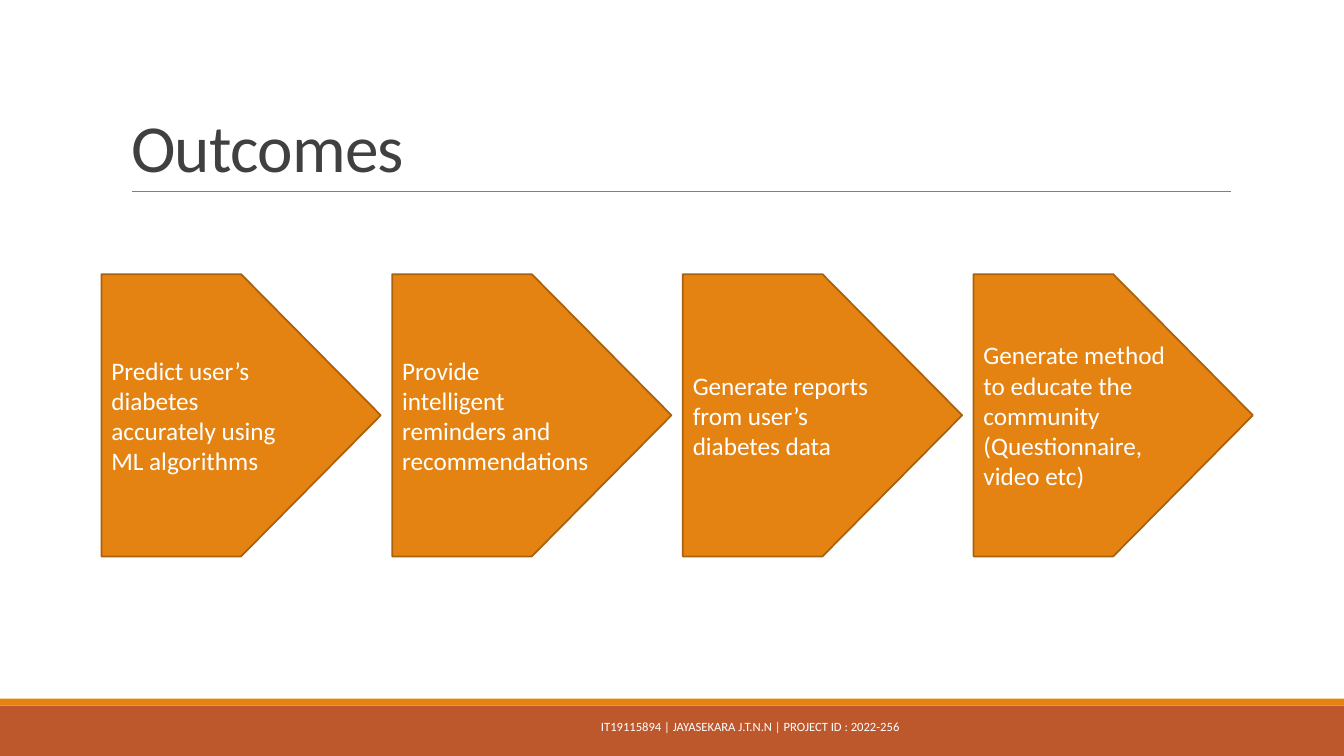
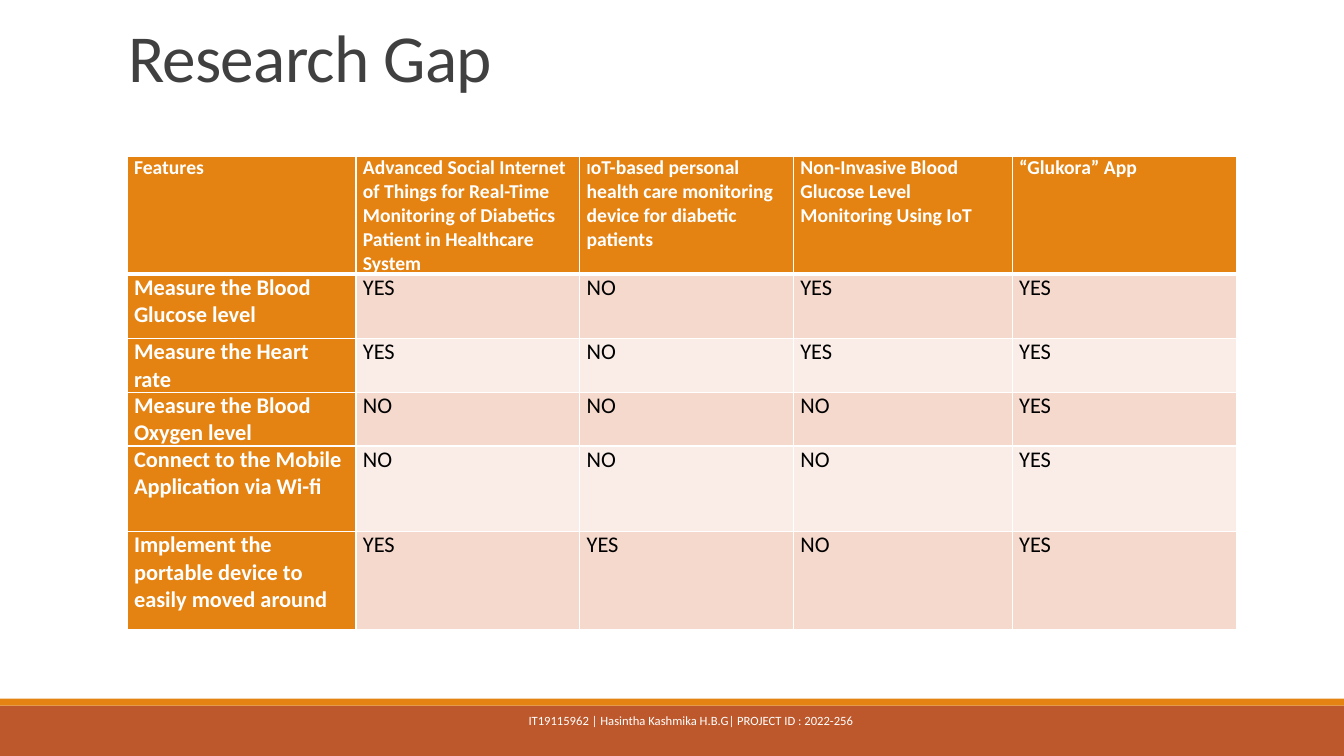
from lxml.etree import SubElement as Sub
from pptx import Presentation
from pptx.dml.color import RGBColor
from pptx.enum.shapes import MSO_CONNECTOR as Link, MSO_SHAPE as Form
from pptx.enum.text import MSO_ANCHOR as Anchor, MSO_AUTO_SIZE as Fit, PP_ALIGN as Align
from pptx.oxml.ns import qn
from pptx.util import Inches, Pt

WIDE, HIGH = Inches(13.33), Inches(7.5)
FONT = "Calibri"
WHITE, BLACK, GREY, INK = "FFFFFF", "000000", "808080", "404040"
AMBER, EDGE, RUST = "E48312", "A9610D", "BD582C"
TINTS = "F5D9CC", "FAEDE7"

GOALS = [
    ["Predict user’s diabetes accurately using ML algorithms"],
    ["Provide", "intelligent reminders and recommendations"],
    ["Generate reports from user’s diabetes data"],
    ["Generate method to educate the community (Questionnaire, video etc)"],
]
HEADS = [
    ["Features"],
    ["Advanced Social Internet of Things for Real-Time Monitoring of Diabetics "
     "Patient in Healthcare System"],
    ["I", "oT-based personal health care monitoring device for diabetic patients"],
    ["Non-Invasive Blood Glucose Level Monitoring Using IoT"],
    ["“Glukora” App\u00a0"],
]
ROWS = [
    ("Measure the Blood Glucose level", "YES", "NO", "YES", "YES"),
    ("Measure the Heart rate", "YES", "NO", "YES", "YES"),
    ("Measure the Blood Oxygen level", "NO", "NO", "NO", "YES"),
    ("Connect to the Mobile Application via Wi-fi", "NO", "NO", "NO", "YES"),
    ("Implement the portable device to easily moved around", "YES", "YES", "NO", "YES"),
]
COLS = 17.03, 16.65, 15.9, 16.28, 16.73
TALL = 14.8, 8.53, 6.67, 6.67, 11.33, 12.93


def tint(code):
    return RGBColor.from_string(code)


def across(share):
    return round(WIDE * share / 100)


def down(share):
    return round(HIGH * share / 100)


def area(left, top, width, height):
    return across(left), down(top), across(width), down(height)


def style(para, size, color, bold=False):
    font = para.font
    font.name, font.size, font.bold = FONT, Pt(size), bold
    font.color.rgb = tint(color)


def add_form(slide, form, box, fill, edge=None):
    shape = slide.shapes.add_shape(form, *area(*box))
    shape.shadow.inherit = False
    shape.fill.solid()
    shape.fill.fore_color.rgb = tint(fill)
    if edge:
        shape.line.color.rgb = tint(edge)
        shape.line.width = Pt(1.25)
    else:
        shape.line.fill.background()
    return shape


def add_rule(slide, left, right, top):
    rule = slide.shapes.add_connector(
        Link.STRAIGHT, across(left), down(top), across(right), down(top))
    rule.line.color.rgb = tint(GREY)
    rule.line.width = Pt(0.5)
    Sub(rule._element.spPr, qn("a:effectLst"))


def set_title(slide, text, box):
    title = slide.shapes.title
    title.left, title.top, title.width, title.height = area(*box)
    frame = title.text_frame
    frame.text = text
    frame.word_wrap = True
    frame.auto_size = Fit.NONE
    frame.vertical_anchor = Anchor.BOTTOM
    para = frame.paragraphs[0]
    para.alignment = Align.LEFT
    para.line_spacing = 0.85
    style(para, 48, INK)
    para.runs[0]._r.get_or_add_rPr().set("spc", "-50")


def add_foot(slide, text, box):
    frame = slide.shapes.add_textbox(*area(*box)).text_frame
    frame.word_wrap = True
    frame.vertical_anchor = Anchor.MIDDLE
    frame.text = text
    para = frame.paragraphs[0]
    para.alignment = Align.CENTER
    style(para, 9, WHITE)


def add_slide(deck, title, spot, foot, base):
    slide = deck.slides.add_slide(deck.slide_layouts[5])
    add_form(slide, Form.RECTANGLE, (0, 93.33, 100, 6.67), RUST)
    add_form(slide, Form.RECTANGLE, (0, 92.4, 100, 0.93), AMBER)
    add_rule(slide, 9.83, 91.6, 25.33)
    set_title(slide, title, spot)
    add_foot(slide, foot, base)
    return slide


def add_goal(slide, order, lines):
    box = 7.55 + 21.63 * order, 36.27, 20.78, 37.33
    frame = add_form(slide, Form.PENTAGON, box, AMBER, EDGE).text_frame
    frame.word_wrap = True
    frame.vertical_anchor = Anchor.MIDDLE
    frame.text = "\n".join(lines)
    for para in frame.paragraphs:
        para.alignment = Align.LEFT
        style(para, 18, WHITE)


def add_edges(cell, top, base):
    props = cell._tc.get_or_add_tcPr()
    for side, width in zip("LRTB", (1, 1, top, base)):
        line = Sub(props, qn("a:ln" + side), w=str(Pt(width)))
        Sub(Sub(line, qn("a:solidFill")), qn("a:srgbClr"), val=WHITE)


def fill_cell(cell, parts, row, col):
    head = row == 0
    label = head or col == 0
    add_edges(cell, 3 if row == 1 else 1, 3 if head else 1)
    cell.fill.solid()
    cell.fill.fore_color.rgb = tint(AMBER if label else TINTS[(row - 1) % 2])
    cell.margin_left = cell.margin_right = Inches(0.07)
    cell.margin_top = cell.margin_bottom = 0
    para = cell.text_frame.paragraphs[0]
    for part in parts:
        para.add_run().text = part
    style(para, 14 if head else 16, WHITE if label else BLACK, label)
    if len(parts) > 1:
        para.runs[0].font.size = Pt(11)


def add_grid(slide):
    data = [HEADS] + [[[text] for text in row] for row in ROWS]
    box = area(9.45, 20.67, sum(COLS), sum(TALL))
    table = slide.shapes.add_table(len(TALL), len(COLS), *box).table
    table.first_col = True
    table.horz_banding = False
    for col, share in zip(table.columns, COLS):
        col.width = across(share)
    for row, share in zip(table.rows, TALL):
        row.height = down(share)
    for row, cells in enumerate(data):
        for col, parts in enumerate(cells):
            fill_cell(table.cell(row, col), parts, row, col)


def main():
    deck = Presentation()
    deck.slide_width, deck.slide_height = WIDE, HIGH
    slide = add_slide(
        deck, "Outcomes", (9, 4.13, 82.5, 21.2),
        "IT19115894 | JAYASEKARA J.T.N.N | PROJECT ID : 2022-256",
        (19.73, 93.2, 72.17, 5.73))
    for order, lines in enumerate(GOALS):
        add_goal(slide, order, lines)
    slide = add_slide(
        deck, "Research Gap", (8.78, -2.53, 82.5, 15.87),
        "IT19115962 | Hasintha Kashmika H.B.G| PROJECT ID : 2022-256",
        (33.16, 92.67, 36.46, 5.33))
    add_grid(slide)
    deck.save("out.pptx")


if __name__ == "__main__":
    main()
